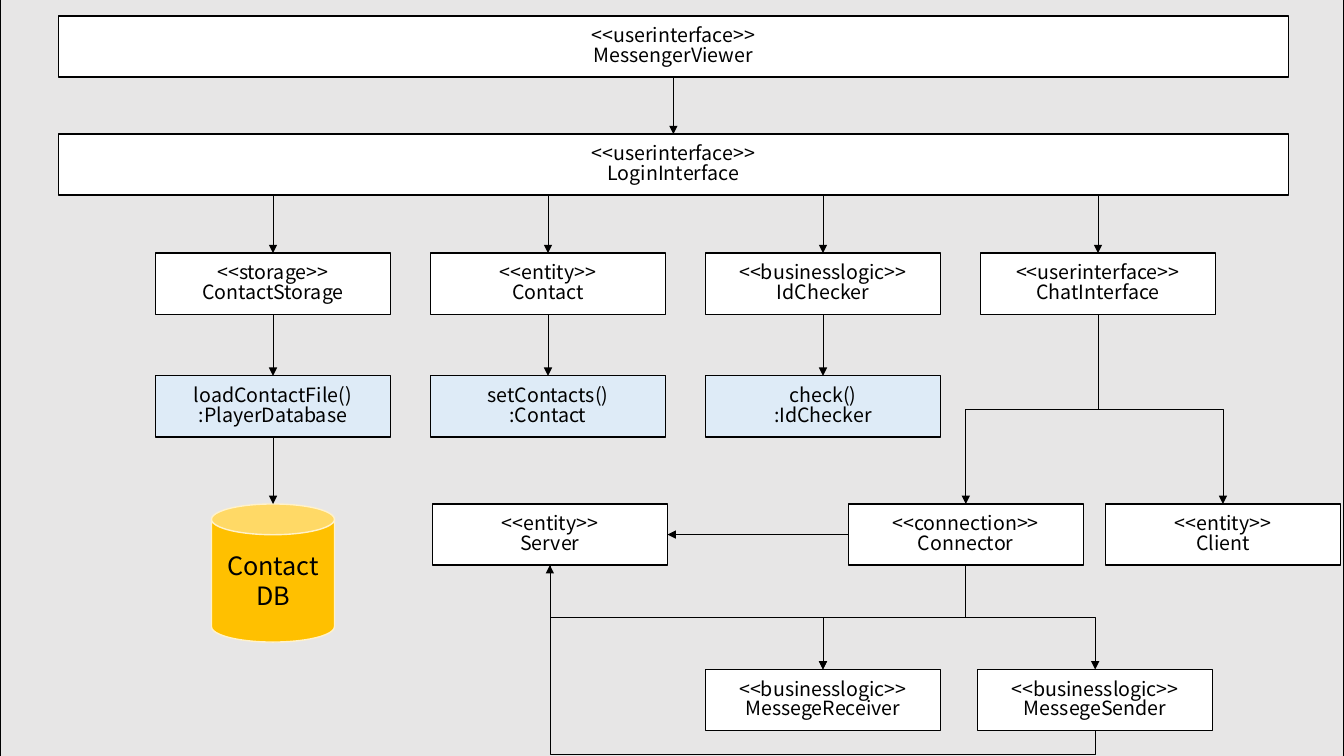
from lxml.etree import SubElement
from pptx import Presentation
from pptx.dml.color import RGBColor
from pptx.enum.shapes import MSO_CONNECTOR as Line, MSO_SHAPE as Preset
from pptx.enum.text import MSO_ANCHOR as Anchor, PP_ALIGN as Align
from pptx.oxml.ns import qn
from pptx.util import Cm, Pt

BLACK = RGBColor(0x00, 0x00, 0x00)
WHITE = RGBColor(0xFF, 0xFF, 0xFF)
GREY = RGBColor(0xE7, 0xE6, 0xE6)
PALE_BLUE = RGBColor(0xDE, 0xEB, 0xF7)
AMBER = RGBColor(0xFF, 0xC0, 0x00)
CREAM = RGBColor(0xFF, 0xF2, 0xCC)
FONT = "Noto Sans CJK KR"

# Connection sites of a rectangle
TOP, LEFT, BOTTOM, RIGHT = range(4)

BOX_WIDTH, BOX_HEIGHT = Cm(5.92), Cm(1.54)
COLUMN_STEP = Cm(6.93)

COLUMNS = [
    ("<<storage>>\nContactStorage", "loadContactFile()\n:PlayerDatabase"),
    ("<<entity>>\nContact", "setContacts()\n:Contact"),
    ("<<businesslogic>>\nIdChecker", "check()\n:IdChecker"),
    ("<<userinterface>>\nChatInterface", None),
]


def add_node(slide, text, left, top, width=BOX_WIDTH, height=BOX_HEIGHT,
             preset=Preset.RECTANGLE, fill=WHITE, outline=BLACK, size=14, spacing=Pt(14)):
    shape = slide.shapes.add_shape(preset, left, top, width, height)
    shape.shadow.inherit = False
    shape.fill.solid()
    shape.fill.fore_color.rgb = fill
    shape.line.color.rgb = outline
    shape.line.width = Pt(1)
    text_frame = shape.text_frame
    text_frame.text = text
    text_frame.word_wrap = True
    text_frame.vertical_anchor = Anchor.MIDDLE
    for paragraph in text_frame.paragraphs:
        paragraph.alignment = Align.CENTER
        paragraph.line_spacing = spacing
        for run in paragraph.runs:
            run.font.name = FONT
            run.font.size = Pt(size)
            run.font.color.rgb = BLACK
    return shape


def site_point(shape, site):
    middle_x = shape.left + shape.width // 2
    middle_y = shape.top + shape.height // 2
    return {
        TOP: (middle_x, shape.top),
        LEFT: (shape.left, middle_y),
        BOTTOM: (middle_x, shape.top + shape.height),
        RIGHT: (shape.left + shape.width, middle_y),
    }[site]


def bend(connector, start, end, lane):
    """Run the elbow vertically, crossing over at the height of the lane."""
    (start_x, start_y), (end_x, end_y) = start, end
    across, down = end_x - start_x, end_y - start_y
    connector.width, connector.height = abs(down), abs(across)
    connector.left = (start_x + end_x - abs(down)) // 2
    connector.top = (start_y + end_y - abs(across)) // 2
    properties = connector._element.spPr
    frame = properties.find(qn("a:xfrm"))
    frame.set("rot", str((270 if across > 0 else 90) * 60000))
    frame.set("flipH", str(int((across > 0) != (down < 0))))
    frame.set("flipV", "0")
    guides = properties.find(qn("a:prstGeom")).get_or_add_avLst()
    share = round((lane - start_y) / down * 100000)
    SubElement(guides, qn("a:gd"), name="adj1", fmla=f"val {share}")


def add_arrow(slide, source, target, sites=(BOTTOM, TOP), lane=None, plumb=False):
    """Join two nodes; a plumb arrow drops straight above the target's centre."""
    start, end = site_point(source, sites[0]), site_point(target, sites[1])
    if plumb:
        start = (end[0], start[1])
    kind = Line.STRAIGHT if lane is None else Line.ELBOW
    connector = slide.shapes.add_connector(kind, *start, *end)
    if not plumb:
        connector.begin_connect(source, sites[0])
        connector.end_connect(target, sites[1])
    if lane is not None:
        bend(connector, start, end, lane)
    connector.line.color.rgb = BLACK
    connector.line.width = Pt(0.5)
    SubElement(connector.line._get_or_add_ln(), qn("a:tailEnd"), type="triangle")
    SubElement(connector._element.spPr, qn("a:effectLst"))


def add_interfaces(slide, left, top, width):
    """Viewer above login, both full width; returns the login bar."""
    viewer = add_node(slide, "<<userinterface>>\nMessengerViewer", left, top, width)
    login = add_node(slide, "<<userinterface>>\nLoginInterface", left, top + Cm(2.98), width)
    add_arrow(slide, viewer, login)
    return login


def add_class_columns(slide, left, top, login):
    """Classes with their calls below, and the database; returns the chat box."""
    for index, (class_text, call_text) in enumerate(COLUMNS):
        x = left + index * COLUMN_STEP
        class_box = add_node(slide, class_text, x, top)
        add_arrow(slide, login, class_box, plumb=True)
        if call_text:
            call_box = add_node(slide, call_text, x, top + Cm(3.09), fill=PALE_BLUE)
            add_arrow(slide, class_box, call_box)
        if index == 0:
            database = add_node(slide, "Contact\vDB", x + Cm(1.41), top + Cm(6.32),
                                Cm(3.1), Cm(3.48), Preset.CAN, AMBER, CREAM, 18, None)
            add_arrow(slide, call_box, database, plumb=True)
    return class_box


def add_chat_network(slide, left, top, chat):
    """Server, connector and client, with the message handlers below."""
    server = add_node(slide, "<<entity>>\nServer", left, top)
    connection = add_node(slide, "<<connection>>\nConnector", left + Cm(10.48), top)
    client = add_node(slide, "<<entity>>\nClient", left + Cm(16.96), top)
    handler_top = top + Cm(4.17)
    receiver = add_node(slide, "<<businesslogic>>\nMessegeReceiver",
                        left + Cm(6.88), handler_top)
    sender = add_node(slide, "<<businesslogic>>\nMessegeSender",
                      left + Cm(13.74), handler_top)

    chat_lane = (chat.top + BOX_HEIGHT + top) // 2
    handler_lane = (top + BOX_HEIGHT + handler_top) // 2
    for source, target, lane in [
        (chat, connection, chat_lane),
        (chat, client, chat_lane),
        (connection, receiver, handler_lane),
        (connection, sender, handler_lane),
        (server, receiver, handler_lane),
    ]:
        add_arrow(slide, source, target, lane=lane)
    add_arrow(slide, connection, server, (LEFT, RIGHT))
    add_arrow(slide, sender, server, (BOTTOM, BOTTOM), lane=top + Cm(6.32))


def main():
    presentation = Presentation()
    presentation.slide_width, presentation.slide_height = Cm(33.87), Cm(19.05)
    slide = presentation.slides.add_slide(presentation.slide_layouts[6])

    # Grey backdrop, bleeding past the top and bottom edges
    add_node(slide, "", 0, Cm(-1), presentation.slide_width, Cm(21.97), fill=GREY)

    login = add_interfaces(slide, Cm(1.47), Cm(0.4), Cm(31))
    chat = add_class_columns(slide, Cm(3.92), Cm(6.38), login)
    add_chat_network(slide, Cm(10.9), Cm(12.7), chat)
    presentation.save("out.pptx")


if __name__ == "__main__":
    main()
